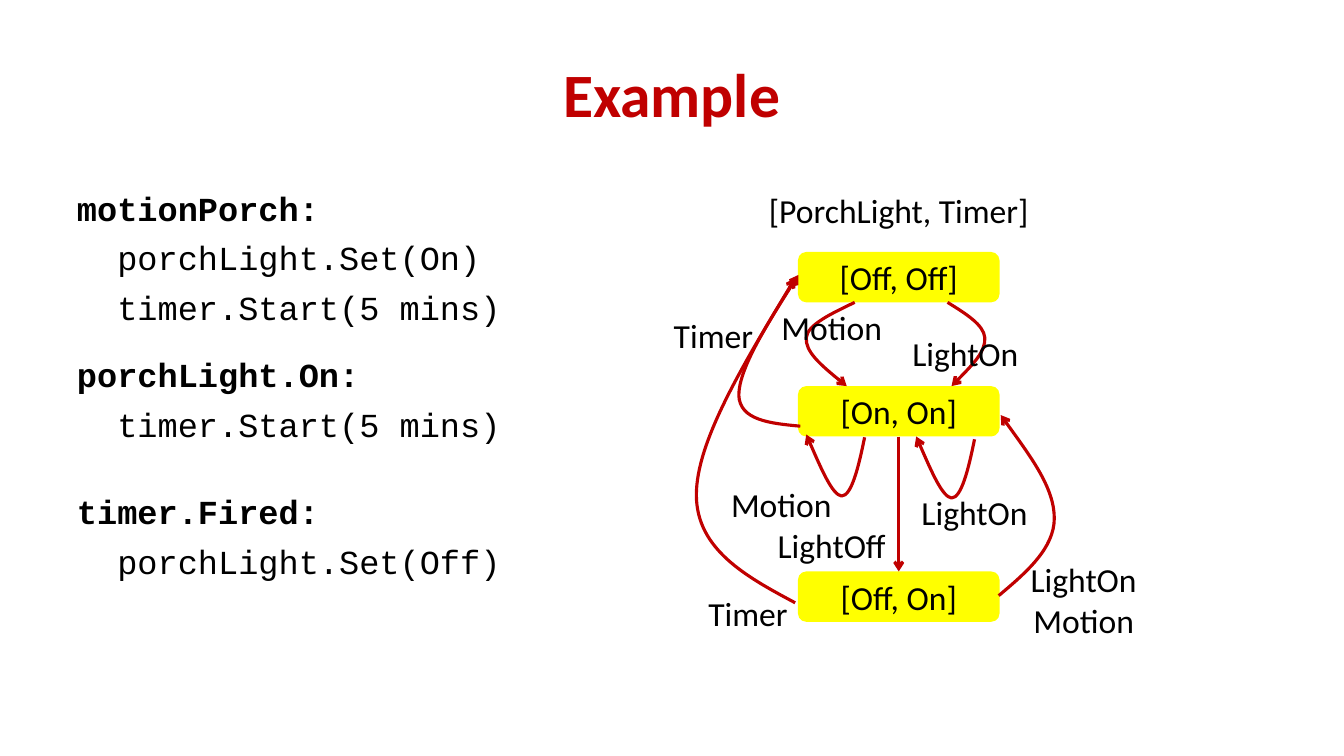
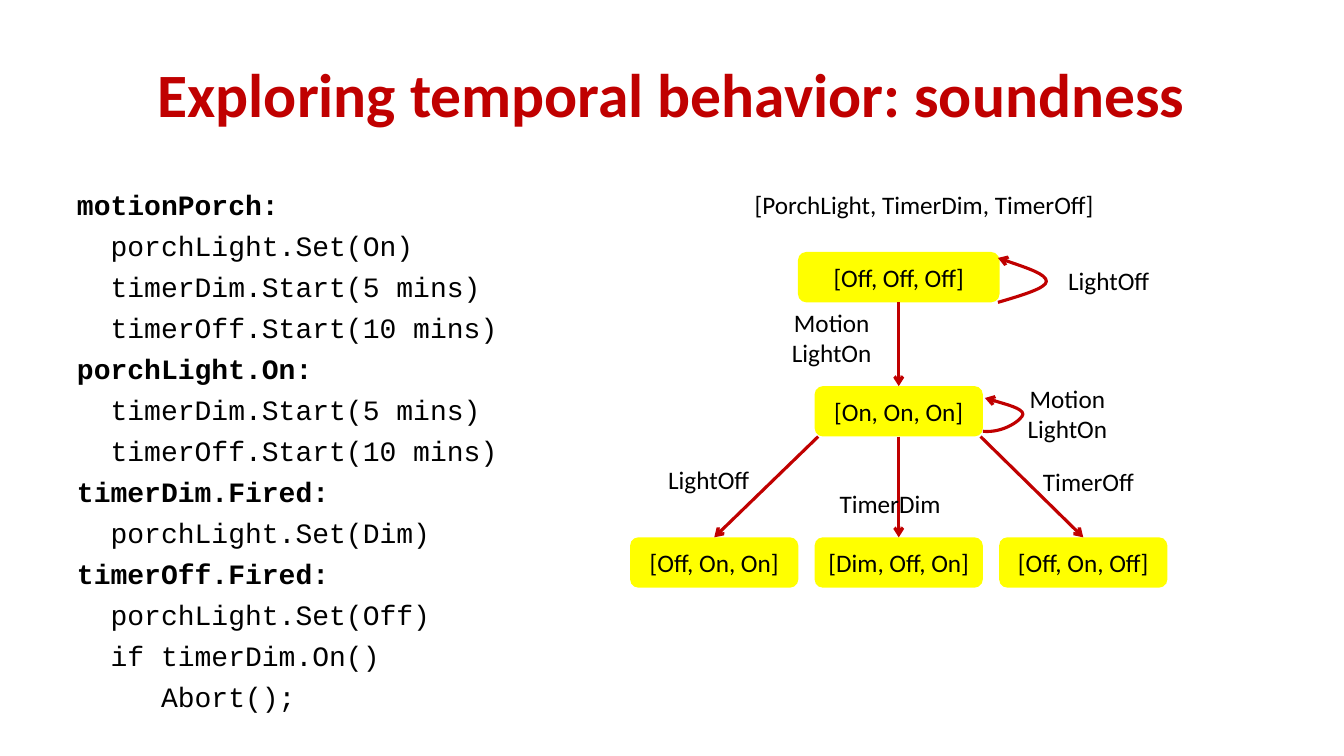
from dataclasses import dataclass

from lxml import etree
from pptx import Presentation
from pptx.dml.color import RGBColor
from pptx.enum.shapes import MSO_CONNECTOR, MSO_SHAPE
from pptx.enum.text import MSO_ANCHOR, MSO_AUTO_SIZE, PP_ALIGN
from pptx.oxml.ns import qn
from pptx.util import Cm, Pt

ROUNDED = MSO_SHAPE.ROUNDED_RECTANGLE
STRAIGHT = MSO_CONNECTOR.STRAIGHT
MIDDLE = MSO_ANCHOR.MIDDLE
GROW = MSO_AUTO_SIZE.SHAPE_TO_FIT_TEXT
LEFT, CENTER = PP_ALIGN.LEFT, PP_ALIGN.CENTER
TITLE_ONLY = 5


@dataclass(frozen=True)
class Theme:
    red: RGBColor = RGBColor(0xC0, 0x00, 0x00)
    yellow: RGBColor = RGBColor(0xFF, 0xFF, 0x00)
    black: RGBColor = RGBColor(0x00, 0x00, 0x00)
    sans: str = "Calibri"
    mono: str = "Courier New"
    title: Pt = Pt(44)
    arrow: Pt = Pt(2.25)


theme = Theme()
TITLE_FONT = {"name": theme.sans, "size": theme.title, "bold": True}


def write(tf, text, font, color=theme.black, align=CENTER):
    """Fill a text frame, one paragraph a line, in one format."""
    tf.text = text
    for p in tf.paragraphs:
        p.alignment = align
        for r in p.runs:
            r.font.color.rgb = color
            for key, value in font.items():
                setattr(r.font, key, value)


def add_arrow(shapes, points):
    """Two points give a straight arrow; more give joined cubic curves."""
    pts = [(Cm(x), Cm(y)) for x, y in points]
    if len(pts) == 2:
        s = shapes.add_connector(STRAIGHT, *pts[0], *pts[1])
    else:
        builder = shapes.build_freeform(*pts[0])
        builder.add_line_segments(pts[1:], close=False)
        s = builder.convert_to_shape()
        s.fill.background()
        s.shadow.inherit = False
        # Turn each three line segments into one cubic curve
        segments = s._element.xpath(".//a:lnTo")
        outline = segments[0].getparent()
        for i in range(0, len(segments), 3):
            curve = etree.SubElement(outline, qn("a:cubicBezTo"))
            for segment in segments[i:i + 3]:
                curve.append(segment[0])
                outline.remove(segment)
    s.line.color.rgb = theme.red
    s.line.width = theme.arrow
    ln = s._element.xpath("./p:spPr/a:ln")[0]
    etree.SubElement(ln, qn("a:tailEnd"), type="arrow")
    if len(pts) == 2:
        etree.SubElement(ln.getparent(), qn("a:effectLst"))


# Diagram grid, in cm
AXIS = 22.65
ROW_1, ROW_2 = 6.35, 9.73
NODE_H = 1.27
WIDE, NARROW = 5.08, 4.24
LABEL_W = 3.81
LEAVES, LEAF_STEP = 13.54, 4.65
LAST_ROW = 14.4
BELOW_1, BELOW_2 = ROW_1 + NODE_H, ROW_2 + NODE_H

# Loop under [On, On], used for Motion and again for LightOn
motion_loop = [(21.79, 11.02), (21.64, 11.76), (21.46, 12.5), (21.21, 12.5),
               (20.98, 12.47), (20.65, 11.71), (20.32, 10.95)]
light_loop = [(x + 2.77, y + 0.05) for x, y in motion_loop]

# Nodes: text, centre, top, width. Labels: text, centre, top.
slides = [
    {
        "title": "Example",
        "code": """motionPorch:
  porchLight.Set(On)
  timer.Start(5 mins)
porchLight.On:
  timer.Start(5 mins)
timer.Fired:
  porchLight.Set(Off)""",
        "code_size": Pt(24),
        "spacing": Pt(6.7),
        "gaps": {3: Pt(19.2), 5: Pt(33.5)},
        "size": Pt(24),
        "header": ("[PorchLight, Timer]", AXIS, 4.65, 9.73),
        "nodes": [
            ("[Off, Off]", AXIS, ROW_1, WIDE),
            ("[On, On]", AXIS, ROW_2, WIDE),
            ("[Off, On]", AXIS, LAST_ROW, WIDE),
        ],
        "arrows": [
            [(21.54, BELOW_1), (20.96, 7.9), (20.35, 8.18), (20.32, 8.51),
             (20.29, 8.86), (20.8, 9.3), (21.34, ROW_2)],
            [(23.88, BELOW_1), (24.33, 7.9), (24.79, 8.18), (24.82, 8.51),
             (24.84, 8.86), (24.41, 9.3), (23.98, ROW_2)],
            motion_loop,
            light_loop,
            [(20.17, 10.74), (19.41, 10.67), (18.64, 10.59), (18.62, 9.96),
             (18.62, 9.32), (19.35, 8.13), (20.12, 6.93)],
            [(AXIS, BELOW_2), (AXIS, LAST_ROW)],
            [(25.17, 15.01), (25.86, 14.43), (26.57, 13.82), (26.57, 13.06),
             (26.57, 12.29), (25.88, 11.38), (25.22, 10.46)],
            [(20.04, 15.19), (18.8, 14.53), (17.55, 13.84), (17.55, 12.47),
             (17.55, 11.13), (18.8, 9.07), (20.04, 7.01)],
        ],
        "labels": [
            ("Motion", 20.96, 7.62),
            ("LightOn", 24.33, 8.26),
            ("Motion", 19.69, 12.07),
            ("LightOn", 24.56, 12.27),
            ("Timer", 17.98, 7.82),
            ("LightOff", 20.96, 13.11),
            ("LightOn\nMotion", 27.31, 13.97),
            ("Timer", 18.85, 14.81),
        ],
    },
    {
        "title": "Exploring temporal behavior: soundness",
        "code": """motionPorch:
  porchLight.Set(On)
  timerDim.Start(5 mins)
  timerOff.Start(10 mins)
porchLight.On:
  timerDim.Start(5 mins)
  timerOff.Start(10 mins)
timerDim.Fired:
  porchLight.Set(Dim)
timerOff.Fired:
  porchLight.Set(Off)
  if timerDim.On()
     Abort();""",
        "code_size": Pt(20),
        "spacing": Pt(5.3),
        "gaps": {},
        "size": Pt(18),
        "header": ("[PorchLight, TimerDim, TimerOff]", 23.29, 4.65, 12.7),
        "nodes": [
            ("[Off, Off, Off]", AXIS, ROW_1, WIDE),
            ("[On, On, On]", AXIS, ROW_2, NARROW),
            ("[Off, On, On]", AXIS - LEAF_STEP, LEAVES, NARROW),
            ("[Dim, Off, On]", AXIS, LEAVES, NARROW),
            ("[Off, On, Off]", AXIS + LEAF_STEP, LEAVES, NARROW),
        ],
        "arrows": [
            [(25.15, BELOW_1), (25.76, 7.44), (26.37, 7.26), (26.37, 7.09),
             (26.37, 6.91), (25.76, 6.71), (25.15, 6.5)],
            [(24.77, 10.87), (25.3, 10.92), (25.76, 10.57), (25.78, 10.44),
             (25.78, 10.29), (24.82, 10.03), (24.82, 10.03)],
            [(AXIS, BELOW_1), (AXIS, ROW_2)],
            [(20.62, BELOW_2), (AXIS - LEAF_STEP, LEAVES)],
            [(AXIS, BELOW_2), (AXIS, LEAVES)],
            [(24.71, BELOW_2), (AXIS + LEAF_STEP, LEAVES)],
        ],
        "labels": [
            ("LightOff", 27.94, 6.55),
            ("Motion\nLightOn", 20.96, 7.62),
            ("TimerOff", 27.43, 11.63),
            ("LightOff", 17.86, 11.58),
            ("Motion\nLightOn", 26.9, 9.53),
            ("TimerDim", 22.43, 12.17),
        ],
    },
]

prs = Presentation()
prs.slide_width, prs.slide_height = Cm(33.87), Cm(19.05)

for content in slides:
    slide = prs.slides.add_slide(prs.slide_layouts[TITLE_ONLY])
    shapes = slide.shapes
    label_font = {"name": theme.sans, "size": content["size"]}

    # Title
    title = shapes.title
    title.left, title.top = Cm(1.69), Cm(0.76)
    title.width, title.height = Cm(30.48), Cm(3.18)
    title.text_frame.vertical_anchor = MIDDLE
    write(title.text_frame, content["title"], TITLE_FONT, theme.red)

    # Code, with bold event names
    tf = shapes.add_textbox(Cm(1.69), Cm(4.6), Cm(13.92), Cm(13.5)).text_frame
    tf.word_wrap = True
    code_font = {"name": theme.mono, "size": content["code_size"]}
    write(tf, content["code"], code_font, align=LEFT)
    for i, p in enumerate(tf.paragraphs):
        p.runs[0].font.bold = p.text.endswith(":")
        if i > 0:
            p.space_before = content["gaps"].get(i, content["spacing"])

    # State nodes
    for text, center, top, width in content["nodes"]:
        s = shapes.add_shape(ROUNDED, Cm(center - width / 2), Cm(top),
                             Cm(width), Cm(NODE_H))
        s.shadow.inherit = False
        s.fill.solid()
        s.fill.fore_color.rgb = theme.yellow
        s.line.fill.background()
        s.text_frame.word_wrap = False
        s.text_frame.vertical_anchor = MIDDLE
        write(s.text_frame, text, label_font)

    # Transitions
    for points in content["arrows"]:
        add_arrow(shapes, points)

    # Header and transition labels
    labels = [(*label, LABEL_W) for label in content["labels"]]
    for text, center, top, width in [content["header"], *labels]:
        tf = shapes.add_textbox(Cm(center - width / 2), Cm(top),
                                Cm(width), Cm(NODE_H)).text_frame
        tf.word_wrap = True
        tf.auto_size = GROW
        write(tf, text, label_font)

prs.save("out.pptx")
